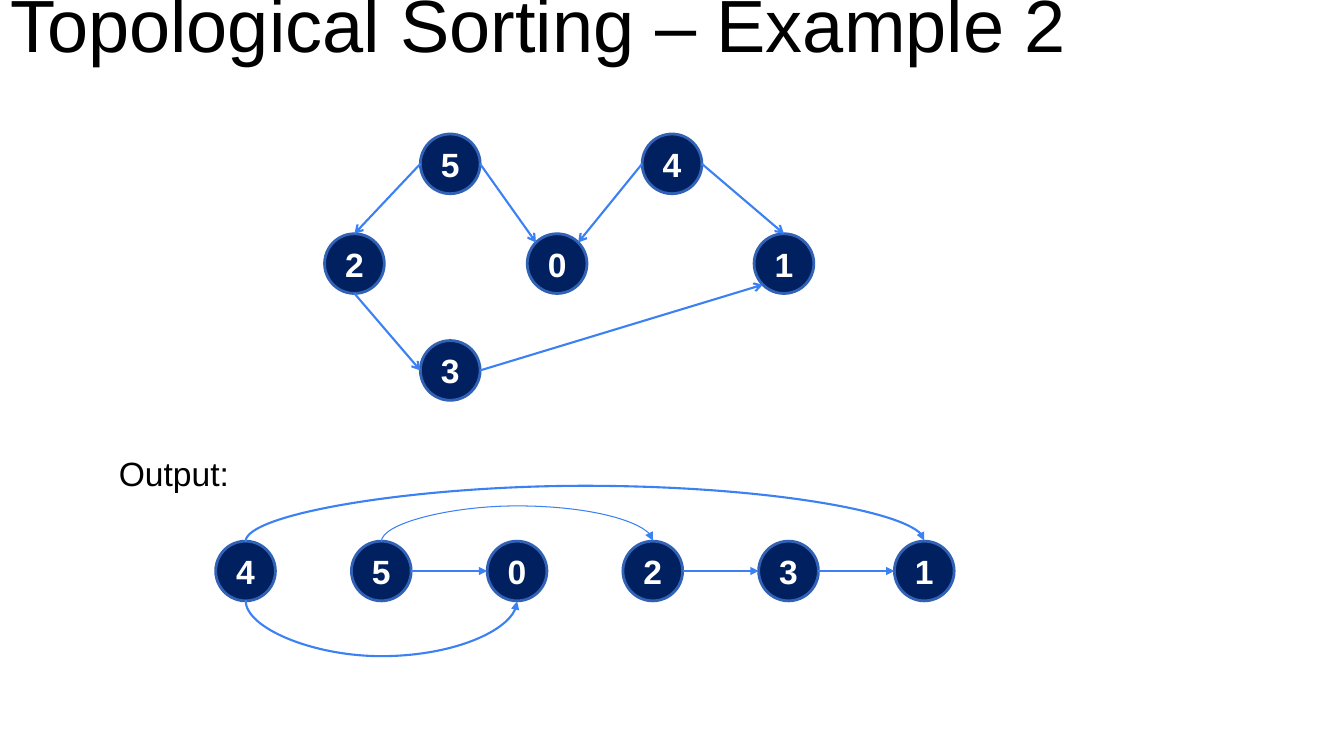
"""Build the topological sorting slide: a directed graph above its linear ordering."""
from dataclasses import dataclass
from enum import Enum
from math import sqrt

from lxml.etree import SubElement
from pptx import Presentation
from pptx.dml.color import RGBColor
from pptx.enum.shapes import MSO_CONNECTOR, MSO_SHAPE
from pptx.enum.text import MSO_ANCHOR, MSO_AUTO_SIZE, PP_ALIGN
from pptx.oxml.ns import qn
from pptx.shapes.connector import Connector
from pptx.slide import Slide
from pptx.util import Inches, Pt

DIAGONAL = 1 / sqrt(2)


@dataclass(frozen=True)
class Theme:
    font: str = "Arial"
    text: RGBColor = RGBColor(0x00, 0x00, 0x00)
    node_text: RGBColor = RGBColor(0xFF, 0xFF, 0xFF)
    node_fill: RGBColor = RGBColor(0x00, 0x20, 0x60)
    node_line: RGBColor = RGBColor(0x31, 0x62, 0xB5)
    edge: RGBColor = RGBColor(0x3C, 0x81, 0xF3)
    title_size: Pt = Pt(52.8)
    body_size: Pt = Pt(24)
    node_width: Pt = Pt(2)
    edge_width: Pt = Pt(1.5)
    thin_width: Pt = Pt(0.75)


THEME = Theme()
WIDTH, HEIGHT = Inches(13.33), Inches(7.5)
COLUMN, ROW = WIDTH / 100, HEIGHT / 100
DIAMETER = int(7.9 * ROW)
ARC_BASE = Inches(0.01)


class Site(Enum):
    """Points on a node's rim, as multiples of its radius."""
    TOP = (0, -1)
    TOP_LEFT = (-DIAGONAL, -DIAGONAL)
    TOP_RIGHT = (DIAGONAL, -DIAGONAL)
    LEFT = (-1, 0)
    RIGHT = (1, 0)
    BOTTOM_LEFT = (-DIAGONAL, DIAGONAL)
    BOTTOM = (0, 1)


@dataclass(frozen=True)
class Node:
    label: str
    column: float
    row: float

    def at(self, site: Site) -> tuple[int, int]:
        """Return the position of a point on the rim."""
        across, down = site.value
        radius = DIAMETER / 2
        return int(self.column * COLUMN + across * radius), int(self.row * ROW + down * radius)


@dataclass(frozen=True)
class Edge:
    start: str
    start_site: Site
    end: str
    end_site: Site


@dataclass(frozen=True)
class Arc:
    start: str
    end: str
    site: Site
    rise: float
    width: Pt


GRAPH = {node.label: node for node in (
    Node("2", 26.37, 34.87),
    Node("5", 33.5, 21.67),
    Node("3", 33.5, 49),
    Node("0", 41.45, 34.87),
    Node("4", 50, 21.67),
    Node("1", 58.33, 34.87),
)}
GRAPH_EDGES = (
    Edge("5", Site.LEFT, "2", Site.TOP),
    Edge("5", Site.RIGHT, "0", Site.TOP_LEFT),
    Edge("2", Site.BOTTOM, "3", Site.LEFT),
    Edge("3", Site.RIGHT, "1", Site.BOTTOM_LEFT),
    Edge("4", Site.LEFT, "0", Site.TOP_RIGHT),
    Edge("4", Site.RIGHT, "1", Site.TOP),
)
ORDER = {label: Node(label, 18.27 + 10.1 * place, 75.53) for place, label in enumerate("450231")}
ORDER_EDGES = tuple(Edge(start, Site.RIGHT, end, Site.LEFT) for start, end in ("50", "23", "31"))
ORDER_ARCS = (
    Arc("4", "1", Site.TOP, 7.5, THEME.edge_width),
    Arc("4", "0", Site.BOTTOM, 7.5, THEME.edge_width),
    Arc("5", "2", Site.TOP, 4.8, THEME.thin_width),
)


def draw_title(page: Slide, words: str) -> None:
    """Place and format the title placeholder."""
    title = page.shapes.title
    title.left, title.top, title.width, title.height = 0, 0, WIDTH, int(10.4 * ROW)
    frame = title.text_frame
    frame.text = words
    frame.auto_size = MSO_AUTO_SIZE.NONE
    frame.word_wrap = True
    frame.vertical_anchor = MSO_ANCHOR.BOTTOM
    frame.margin_left = frame.margin_right = frame.margin_top = frame.margin_bottom = Inches(0.1)
    para = frame.paragraphs[0]
    para.alignment = PP_ALIGN.LEFT
    para.line_spacing = 0.9
    para.font.name, para.font.size = THEME.font, THEME.title_size
    para.font.color.rgb = THEME.text


def draw_label(page: Slide, words: str) -> None:
    """Add the heading of the ordering."""
    box = page.shapes.add_textbox(int(8.1 * COLUMN), int(59.2 * ROW), int(10.13 * COLUMN), int(6.67 * ROW))
    frame = box.text_frame
    frame.text = words
    frame.word_wrap = True
    frame.auto_size = MSO_AUTO_SIZE.SHAPE_TO_FIT_TEXT
    font = frame.paragraphs[0].font
    font.name, font.size = THEME.font, THEME.body_size
    font.color.rgb = THEME.text


def draw_node(page: Slide, node: Node) -> None:
    """Add one numbered circle."""
    left, top = node.at(Site.LEFT)[0], node.at(Site.TOP)[1]
    circle = page.shapes.add_shape(MSO_SHAPE.OVAL, left, top, DIAMETER, DIAMETER)
    circle.shadow.inherit = False
    circle.fill.solid()
    circle.fill.fore_color.rgb = THEME.node_fill
    circle.line.color.rgb = THEME.node_line
    circle.line.width = THEME.node_width
    frame = circle.text_frame
    frame.text = node.label
    frame.vertical_anchor = MSO_ANCHOR.MIDDLE
    para = frame.paragraphs[0]
    para.alignment = PP_ALIGN.CENTER
    para.font.name, para.font.size, para.font.bold = THEME.font, THEME.body_size, True
    para.font.color.rgb = THEME.node_text


def style_arrow(connector: Connector, head: str, width: Pt) -> None:
    """Colour a connector, drop its shadow and give it an arrowhead."""
    connector.line.color.rgb = THEME.edge
    connector.line.width = width
    properties = connector._element.spPr
    SubElement(properties.find(qn("a:ln")), qn("a:tailEnd"), type=head)
    SubElement(properties, qn("a:effectLst"))


def draw_edge(page: Slide, nodes: dict[str, Node], edge: Edge, head: str) -> None:
    """Add a straight arrow between two nodes."""
    start = nodes[edge.start].at(edge.start_site)
    end = nodes[edge.end].at(edge.end_site)
    style_arrow(page.shapes.add_connector(MSO_CONNECTOR.STRAIGHT, *start, *end), head, THEME.edge_width)


def draw_arc(page: Slide, nodes: dict[str, Node], arc: Arc) -> None:
    """Add a curved arrow that bulges away from the row of nodes."""
    start_x, level = nodes[arc.start].at(arc.site)
    span = nodes[arc.end].at(arc.site)[0] - start_x
    left, top = start_x + (span - ARC_BASE) // 2, level - span // 2
    connector = page.shapes.add_connector(MSO_CONNECTOR.CURVE, left, top, left + ARC_BASE, top + span)
    style_arrow(connector, "triangle", arc.width)
    properties = connector._element.spPr
    frame = properties.find(qn("a:xfrm"))
    above = arc.site is Site.TOP
    frame.set("rot", str((90 if above else 270) * 60000))
    frame.set("flipH", "1")
    if above:
        frame.set("flipV", "1")
    bulge = round(arc.rise * ROW / ARC_BASE * 100000)
    guides = properties.find(qn("a:prstGeom")).find(qn("a:avLst"))
    SubElement(guides, qn("a:gd"), name="adj1", fmla=f"val {bulge}")


def main() -> None:
    """Draw the slide and save the deck."""
    deck = Presentation()
    deck.slide_width, deck.slide_height = WIDTH, HEIGHT
    page = deck.slides.add_slide(deck.slide_layouts[5])
    draw_title(page, "Topological Sorting – Example 2")
    draw_label(page, "Output:")
    for nodes, edges, head in ((GRAPH, GRAPH_EDGES, "arrow"), (ORDER, ORDER_EDGES, "triangle")):
        for node in nodes.values():
            draw_node(page, node)
        for edge in edges:
            draw_edge(page, nodes, edge, head)
    for arc in ORDER_ARCS:
        draw_arc(page, ORDER, arc)
    deck.save("out.pptx")


if __name__ == "__main__":
    main()
